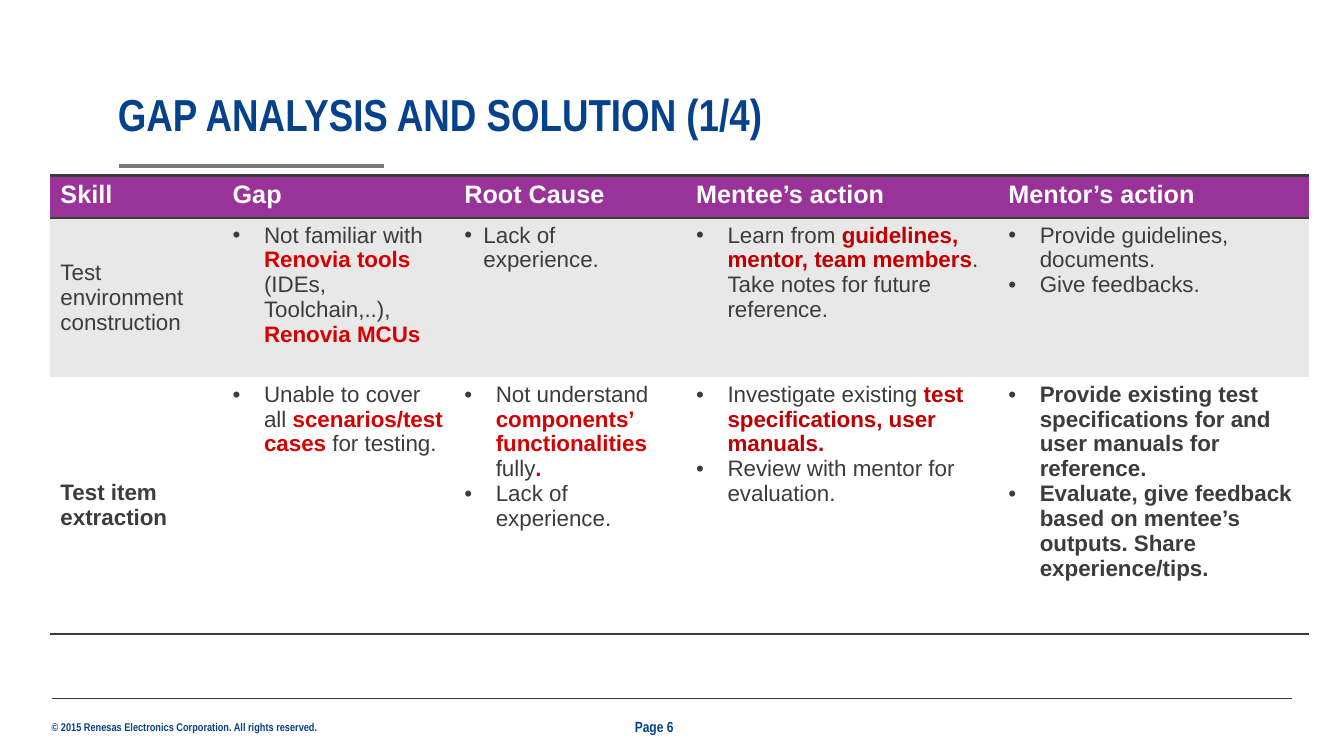
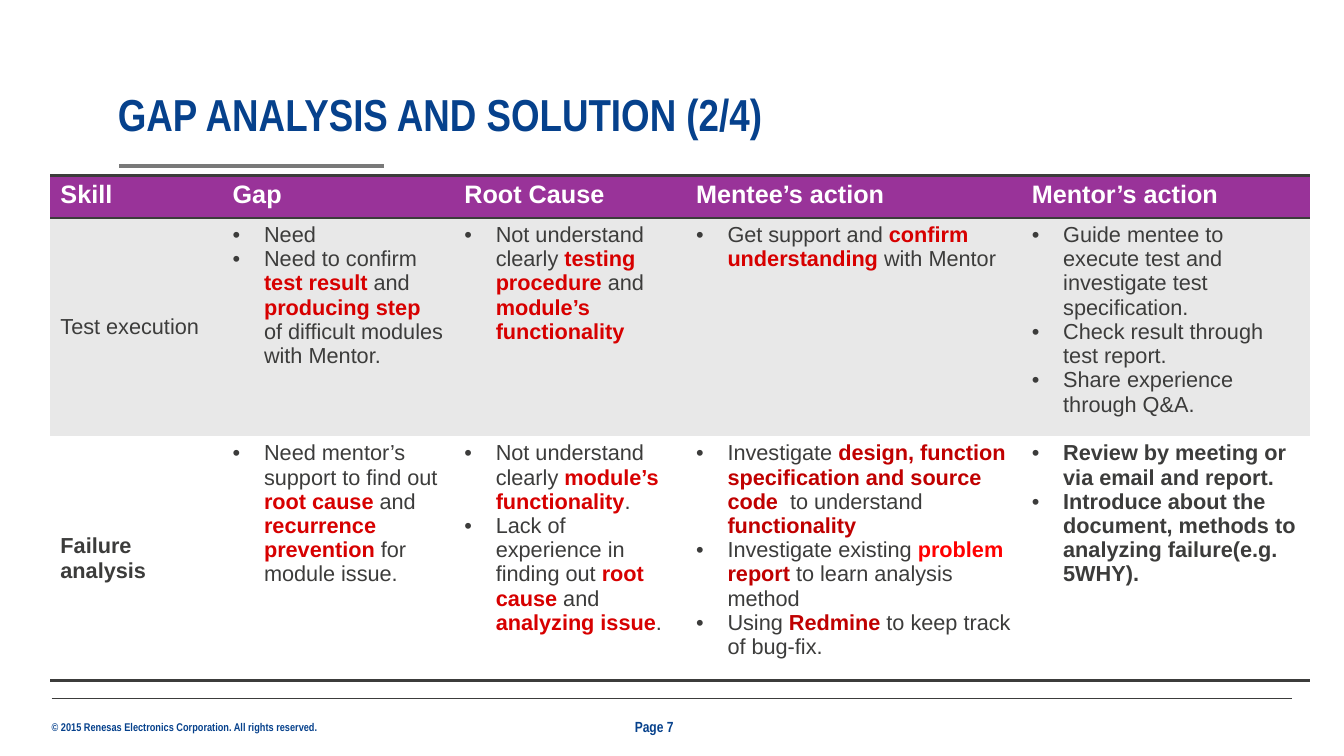
from lxml.etree import SubElement
from pptx import Presentation
from pptx.dml.color import RGBColor
from pptx.enum.shapes import MSO_CONNECTOR
from pptx.enum.text import MSO_ANCHOR, PP_ALIGN
from pptx.oxml.ns import qn
from pptx.util import Cm, Pt

COLORS = {
    "navy": "06418C", "ink": "3C3C3B", "gray": "797979", "purple": "993399",
    "band": "E8E8E8", "white": "FFFFFF", "red": "D70000", "crimson": "C00000",
    "bright": "FF0000",
}
TITLE_FONT = {"name": "Arial Narrow", "size": Pt(32), "bold": True}
FOOTER_FONT = {"name": "Arial Narrow", "size": Pt(8), "bold": True}
PAGE_FONT = {"name": "Arial Narrow", "size": Pt(10.5), "bold": True}
HEADER_FONT = {"name": "Arial", "size": Pt(18), "bold": True}
NO_MARGINS = dict.fromkeys(
    ("margin_left", "margin_top", "margin_right", "margin_bottom"), 0)
PLAIN_TABLE_STYLE = "{2D5ABB26-0587-4C30-8999-92F81FD0307C}"

# Style of a run: colour and bold
RUN_STYLES = {
    "body": ("ink", False), "strong": ("ink", True), "red": ("red", True),
    "crimson": ("crimson", True), "bright": ("bright", True),
}
HEADINGS = ["Skill", "Gap", "Root Cause", "Mentee’s action", "Mentor’s action"]
COPYRIGHT = "© 2015 Renesas Electronics Corporation. All rights reserved."
HANGING = 0.79

# A cell is a list of paragraphs, a paragraph a list of runs;
# a run is body text, or a pair of text and style.
SLIDES = [
    {
        "title": "GAP ANALYSIS AND SOLUTION (1/4)",
        "page": "Page 6",
        "size": 16,
        "columns": [4.34, 5.84, 5.84, 7.87, 7.82],
        "row_heights": [1.07, 4.01, 6.48],
        "hanging": {(1, 2): 0.48},
        "rows": [
            [
                [["Test environment construction"]],
                [["Not familiar with ", ("Renovia tools ", "red"),
                  "(IDEs, Toolchain,..), ", ("Renovia MCUs", "red")]],
                [["Lack of experience."]],
                [["Learn from ", ("guidelines, mentor, team members", "crimson"),
                  ". Take notes for future reference."]],
                [["Provide guidelines, documents."], ["Give feedbacks."]],
            ],
            [
                [[("Test item extraction", "strong")]],
                [["Unable to cover all ", ("scenarios/test cases ", "red"),
                  "for testing."]],
                [["Not understand ", ("components’ functionalities", "red"),
                  " fully", (".", "red")],
                 ["Lack of experience."]],
                [["Investigate existing ",
                  ("test specifications, user manuals.", "crimson")],
                 ["Review with mentor for evaluation."]],
                [[("Provide existing test specifications for and user manuals "
                   "for reference.", "strong")],
                 [("Evaluate, give feedback based on mentee’s outputs. "
                   "Share experience/tips.", "strong")]],
            ],
        ],
    },
    {
        "title": "GAP ANALYSIS AND SOLUTION (2/4)",
        "page": "Page 7",
        "size": 15.5,
        "columns": [4.34, 5.84, 5.84, 8.46, 7.26],
        "row_heights": [1.07, 5.13, 5.74],
        "hanging": {},
        "rows": [
            [
                [["Test execution"]],
                [["Need"],
                 ["Need to confirm ", ("test result ", "red"), "and ",
                  ("producing step ", "red"),
                  "of difficult modules with Mentor."]],
                [["Not understand clearly ", ("testing procedure ", "red"),
                  "and ", ("module’s functionality", "red")]],
                [["Get support and ", ("confirm understanding ", "red"),
                  "with Mentor"]],
                [["Guide mentee to execute test and investigate test "
                  "specification."],
                 ["Check result through test report."],
                 ["Share experience through Q&A."]],
            ],
            [
                [[("Failure analysis", "strong")]],
                [["Need mentor’s support to find out ", ("root cause ", "red"),
                  "and ", ("recurrence prevention ", "red"),
                  "for module issue."]],
                [["Not understand clearly ", ("module’s functionality", "red"),
                  "."],
                 ["Lack of experience in finding out ", ("root cause ", "red"),
                  "and ", ("analyzing issue", "red"), "."]],
                [["Investigate ",
                  ("design, function specification and source code ", "crimson"),
                  " to understand", (" functionality", "crimson")],
                 ["Investigate existing ", ("problem ", "bright"),
                  ("report ", "crimson"), "to learn analysis method"],
                 ["Using ", ("Redmine ", "crimson"),
                  "to keep track of bug-fix."]],
                [[("Review by meeting or via email and report.", "strong")],
                 [("Introduce about the document, methods to analyzing "
                   "failure(e.g. 5WHY).", "strong")]],
            ],
        ],
    },
]


def rgb(color):
    return RGBColor.from_string(COLORS[color])


def set_attributes(target, values):
    for name, value in values.items():
        setattr(target, name, value)


def add_run(paragraph, text, font_values, color):
    run = paragraph.add_run()
    run.text = text
    set_attributes(run.font, font_values)
    run.font.color.rgb = rgb(color)


def add_rule(slide, left, right, top, color, width):
    """Draw a horizontal line."""
    line = slide.shapes.add_connector(
        MSO_CONNECTOR.STRAIGHT, Cm(left), Cm(top), Cm(right), Cm(top))
    line.line.color.rgb = rgb(color)
    line.line.width = Pt(width)
    SubElement(line.element.spPr, qn("a:effectLst"))


def add_label(slide, box, text, font_values, **frame_values):
    label = slide.shapes.add_textbox(*map(Cm, box))
    set_attributes(label.text_frame, {**NO_MARGINS, **frame_values})
    add_run(label.text_frame.paragraphs[0], text, font_values, "navy")


def add_title(slide, box, text):
    """Format the title placeholder and underline its start."""
    left, top, width, height = box
    title = slide.shapes.title
    set_attributes(title, dict(zip(("left", "top", "width", "height"),
                                   map(Cm, box))))
    set_attributes(title.text_frame, {
        **NO_MARGINS, "vertical_anchor": MSO_ANCHOR.BOTTOM, "word_wrap": True})
    paragraph = title.text_frame.paragraphs[0]
    set_attributes(paragraph, {"alignment": PP_ALIGN.LEFT, "line_spacing": 0.9})
    add_run(paragraph, text, TITLE_FONT, "navy")
    add_rule(slide, left + 0.03, left + 6.71, top + height + 0.63, "gray", 3)


def add_footer(slide, box, page):
    left, top, width, height = box
    add_rule(slide, left, left + width, top, "ink", 0.5)
    add_label(slide, (left, top + 0.54, 6.8, 0.33), COPYRIGHT, FOOTER_FONT,
              word_wrap=False)
    add_label(slide, (left + 14.7, top + 0.48, 1.85, 0.46), page, PAGE_FONT,
              word_wrap=True, vertical_anchor=MSO_ANCHOR.MIDDLE)


def style_cell(cell, fill, borders=()):
    """Fill a cell and draw dark borders on the given sides (T, B)."""
    properties = cell._tc.get_or_add_tcPr()
    for side in borders:
        border = SubElement(properties, qn(f"a:ln{side}"), w=str(Pt(2)))
        solid = SubElement(border, qn("a:solidFill"))
        SubElement(solid, qn("a:srgbClr"), val=COLORS["ink"])
    cell.fill.solid()
    cell.fill.fore_color.rgb = rgb(fill)


def add_bullet(paragraph, hanging):
    properties = paragraph._p.get_or_add_pPr()
    properties.set("marL", str(Cm(hanging)))
    properties.set("indent", str(-Cm(hanging)))
    SubElement(properties, qn("a:buFont"), typeface="Arial")
    SubElement(properties, qn("a:buChar"), char="•")


def write_cell(cell, paragraphs, size, hanging):
    """Write styled paragraphs, bulleted when hanging is not zero."""
    for index, runs in enumerate(paragraphs):
        frame = cell.text_frame
        paragraph = frame.add_paragraph() if index else frame.paragraphs[0]
        if hanging:
            add_bullet(paragraph, hanging)
        for run in runs:
            text, style = (run, "body") if isinstance(run, str) else run
            color, bold = RUN_STYLES[style]
            add_run(paragraph, text,
                    {"name": "Arial", "size": Pt(size), "bold": bold}, color)


def add_gap_table(slide, left, top, content):
    columns, heights = content["columns"], content["row_heights"]
    frame = slide.shapes.add_table(
        len(heights), len(columns), Cm(left), Cm(top),
        Cm(sum(columns)), Cm(sum(heights)))
    table = frame.table
    set_attributes(table, {"first_row": True, "horz_banding": False})
    table._tbl.tblPr.find(qn("a:tableStyleId")).text = PLAIN_TABLE_STYLE
    for column, width in zip(table.columns, columns):
        column.width = Cm(width)
    for row, height in zip(table.rows, heights):
        row.height = Cm(height)

    for column, heading in enumerate(HEADINGS):
        cell = table.cell(0, column)
        style_cell(cell, "purple", "TB")
        add_run(cell.text_frame.paragraphs[0], heading, HEADER_FONT, "white")

    last_row = len(content["rows"])
    for row, cells in enumerate(content["rows"], 1):
        for column, paragraphs in enumerate(cells):
            cell = table.cell(row, column)
            style_cell(cell, "band" if row % 2 else "white",
                       "B" if row == last_row else "")
            hanging = content["hanging"].get((row, column), HANGING)
            write_cell(cell, paragraphs, content["size"],
                       hanging if column else 0)
            if column == 0:
                cell.vertical_anchor = MSO_ANCHOR.MIDDLE


def add_gap_slide(presentation, content):
    slide = presentation.slides.add_slide(presentation.slide_layouts[5])
    add_title(slide, (2.97, 2.34, 25, 1.22), content["title"])
    add_footer(slide, (1.3, 17.6, 31.26, 1), content["page"])
    add_gap_table(slide, 1.27, 4.42, content)


def main():
    presentation = Presentation()
    set_attributes(presentation,
                   {"slide_width": Cm(33.87), "slide_height": Cm(19.05)})
    for content in SLIDES:
        add_gap_slide(presentation, content)
    presentation.save("out.pptx")


if __name__ == "__main__":
    main()
